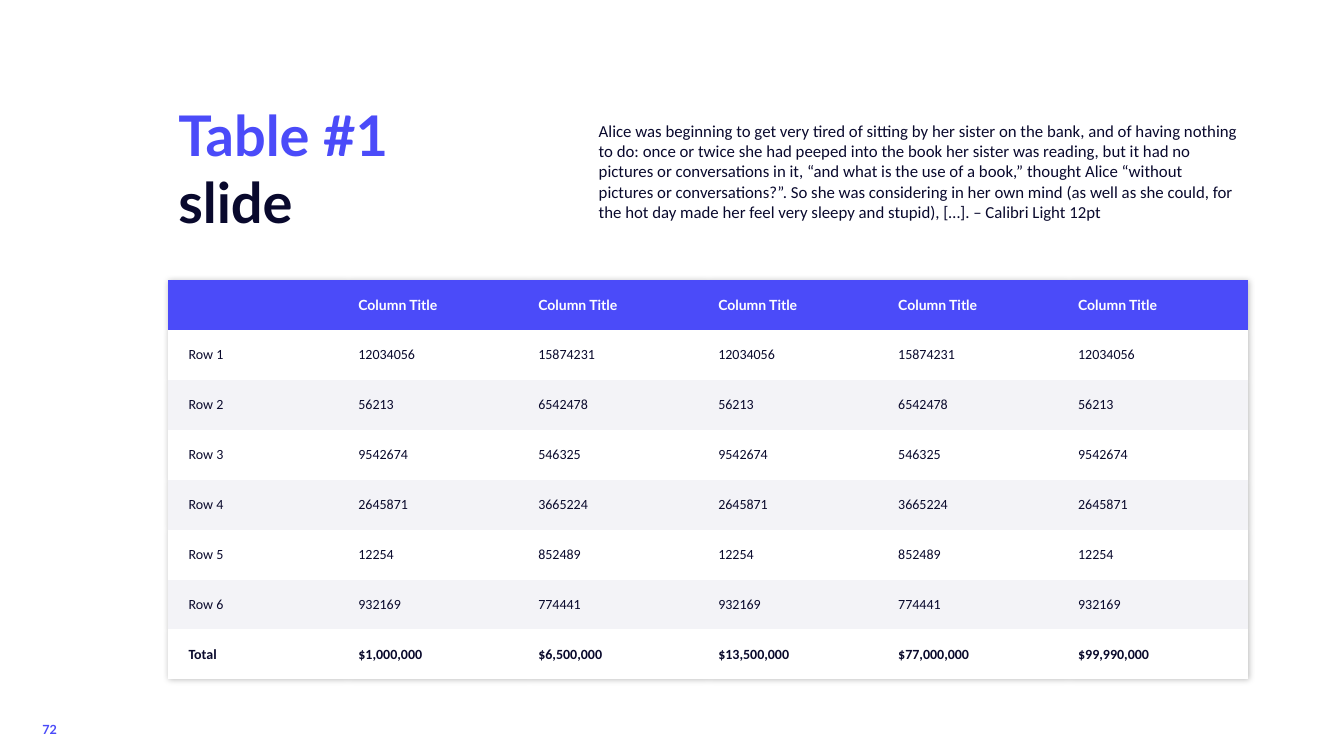
from dataclasses import dataclass

from lxml import etree
from pptx import Presentation
from pptx.dml.color import RGBColor
from pptx.enum import text as t
from pptx.oxml import parse_xml
from pptx.oxml.ns import nsdecls, qn
from pptx.util import Inches, Pt


@dataclass(frozen=True)
class Theme:
    accent: str = "4B4BF9"
    ink: str = "09092D"
    cell_ink: str = "09092C"
    white: str = "FFFFFF"
    band: str = "F3F3F7"
    heading: str = "Lato"
    body: str = "Calibri"
    title_size: float = 40
    body_size: float = 12
    table_size: float = 10
    number_size: float = 9


@dataclass(frozen=True)
class Box:
    left: float
    top: float
    width: float
    height: float

    def emu(self) -> list:
        return [Inches(v) for v in (self.left, self.top, self.width, self.height)]


@dataclass(frozen=True)
class RowStyle:
    fill: str
    font: str
    color: str
    bold: bool = False


TH = Theme()
NO_STYLE = "{2D5ABB26-0587-4C30-8999-92F81FD0307C}"
PASSAGE = (
    "Alice was beginning to get very tired of sitting by her sister on the bank, "
    "and of having nothing to do: once or twice she had peeped into the book her "
    "sister was reading, but it had no pictures or conversations in it, “and what "
    "is the use of a book,” thought Alice “without pictures or conversations?”. "
    "So she was considering in her own mind (as well as she could, for the hot day "
    "made her feel very sleepy and stupid), […]. – Calibri Light 12pt"
)
VALUE_PAIRS = [
    ("12034056", "15874231"),
    ("56213", "6542478"),
    ("9542674", "546325"),
    ("2645871", "3665224"),
    ("12254", "852489"),
    ("932169", "774441"),
]
TOTALS = ["$1,000,000", "$6,500,000", "$13,500,000", "$77,000,000", "$99,990,000"]


def set_font(font, name: str, size: float, color: str, bold: bool = False) -> None:
    font.name, font.size, font.bold = name, Pt(size), bold
    font.color.rgb = RGBColor.from_string(color)


def add_text_box(s, box: Box):
    tf = s.shapes.add_textbox(*box.emu()).text_frame
    tf.word_wrap = True
    return tf


def add_title(s, box: Box) -> None:
    p = add_text_box(s, box).paragraphs[0]
    p.font.name, p.font.size, p.font.bold = TH.heading, Pt(TH.title_size), True
    first = p.add_run()
    first.text = "Table #1"
    p.add_line_break()
    second = p.add_run()
    second.text = "slide"
    for r, color in ((first, TH.accent), (second, TH.ink)):
        r.font.color.rgb = RGBColor.from_string(color)


def add_passage(s, box: Box) -> None:
    p = add_text_box(s, box).paragraphs[0]
    p.text = PASSAGE
    set_font(p.font, TH.body, TH.body_size, TH.ink)


def add_page_number(s, box: Box) -> None:
    tf = add_text_box(s, box)
    tf.margin_left = tf.margin_right = Inches(0.05)
    p = tf.paragraphs[0]
    p.text = "72"
    p.line_spacing = 0.9
    set_font(p.font, TH.heading, TH.number_size, TH.accent, bold=True)


def strip_style_and_add_shadow(table) -> None:
    """Remove the banded style with its borders and give the table a soft shadow."""
    table.first_row = table.horz_banding = False
    tbl_pr = table._tbl.tblPr
    style = tbl_pr.find(qn("a:tableStyleId"))
    if style is None:
        style = etree.SubElement(tbl_pr, qn("a:tableStyleId"))
    style.text = NO_STYLE
    tbl_pr.insert(0, parse_xml(
        f'<a:effectLst {nsdecls("a")}><a:outerShdw blurRad="50800" dist="12700" '
        'dir="2700000" algn="tl" rotWithShape="0"><a:srgbClr val="000000">'
        '<a:alpha val="25000"/></a:srgbClr></a:outerShdw></a:effectLst>'))


def fill_row(table, index: int, values: list[str], style: RowStyle) -> None:
    for col, value in enumerate(values):
        cell = table.cell(index, col)
        cell.fill.solid()
        cell.fill.fore_color.rgb = RGBColor.from_string(style.fill)
        cell.vertical_anchor = t.MSO_ANCHOR.MIDDLE
        cell.margin_left = Inches(0.1 if col else 0.2)
        cell.margin_right = Inches(0.1)
        cell.margin_top = cell.margin_bottom = Inches(0.04)
        p = cell.text_frame.paragraphs[0]
        if value:
            p.text = value
        set_font(p.font, style.font, TH.table_size, style.color, style.bold)


def add_data_table(s, box: Box) -> None:
    header = RowStyle(TH.accent, TH.heading, TH.white, bold=True)
    plain = RowStyle(TH.white, TH.body, TH.cell_ink)
    banded = RowStyle(TH.band, TH.body, TH.cell_ink)
    total = RowStyle(TH.white, TH.body, TH.cell_ink, bold=True)

    rows = [(["", *["Column Title"] * 5], header)]
    for n, (odd, even) in enumerate(VALUE_PAIRS, 1):
        rows.append(([f"Row {n}", odd, even, odd, even, odd], plain if n % 2 else banded))
    rows.append((["Total", *TOTALS], total))

    table = s.shapes.add_table(len(rows), len(rows[0][0]), *box.emu()).table
    strip_style_and_add_shadow(table)
    for i, (values, style) in enumerate(rows):
        fill_row(table, i, values, style)


def main() -> None:
    prs = Presentation()
    prs.slide_width, prs.slide_height = Inches(13.33), Inches(7.5)
    s = prs.slides.add_slide(prs.slide_layouts[6])
    add_page_number(s, Box(0.37, 7.13, 0.4, 0.24))
    add_passage(s, Box(5.84, 1.15, 6.54, 1.12))
    add_title(s, Box(1.67, 0.95, 3.9, 1.43))
    add_data_table(s, Box(1.67, 2.78, 10.71, 3.96))
    prs.save("out.pptx")


if __name__ == "__main__":
    main()
